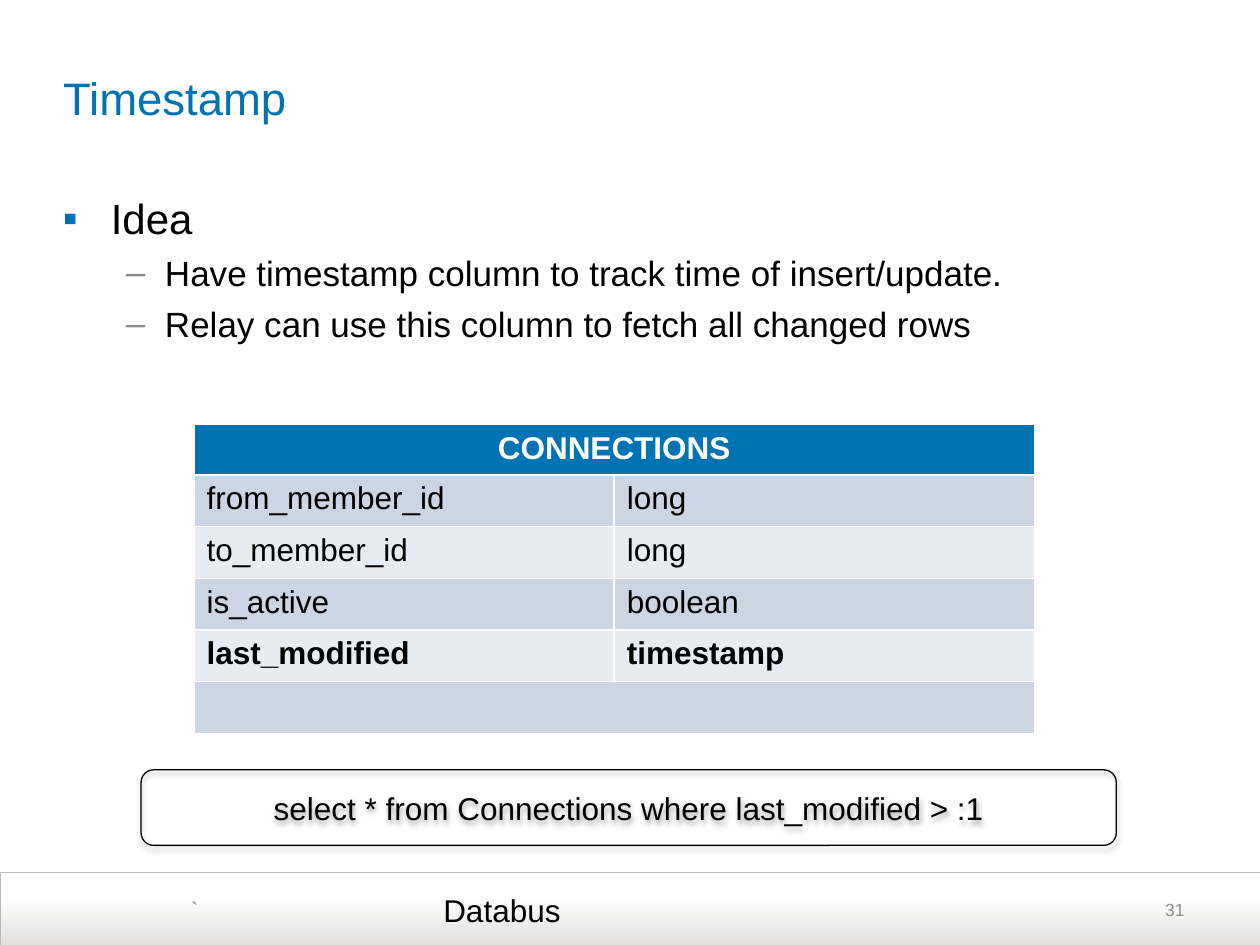
from lxml.etree import SubElement
from pptx import Presentation
from pptx.dml.color import RGBColor
from pptx.enum.shapes import MSO_SHAPE
from pptx.enum.text import MSO_ANCHOR, PP_ALIGN
from pptx.oxml.ns import qn
from pptx.util import Inches, Pt

BLUE = RGBColor(0x00, 0x73, 0xB2)
BLACK = RGBColor(0x00, 0x00, 0x00)
WHITE = RGBColor(0xFF, 0xFF, 0xFF)
BAND_DARK = RGBColor(0xCC, 0xD5, 0xE4)
BAND_LIGHT = RGBColor(0xE7, 0xEB, 0xF2)
GRAY = RGBColor(0x88, 0x89, 0x8B)
NUMBER_GRAY = RGBColor(0x8C, 0x8C, 0x8C)
FOOTER_GRAY = RGBColor(0xE1, 0xE0, 0xDF)
FOOTER_EDGE = RGBColor(0xB9, 0xB9, 0xB9)

IDEA = [
    (0, "Idea"),
    (1, "Have timestamp column to track time of insert/update."),
    (1, "Relay can use this column to fetch all changed rows"),
]
BULLET_LEVELS = [
    {"size": 24, "indent": 0.38, "hang": 0.38, "mark": "▪", "color": BLUE},
    {"size": 20, "indent": 0.81, "hang": 0.31, "mark": "–", "color": GRAY},
]
COLUMNS = [
    ("from_member_id", "long"),
    ("to_member_id", "long"),
    ("is_active", "boolean"),
    ("last_modified", "timestamp"),
]


def style(paragraph, size, color, bold=False, align=PP_ALIGN.LEFT):
    """Set the font and alignment of a paragraph."""
    paragraph.alignment = align
    font = paragraph.font
    font.name, font.size, font.bold = "Arial", Pt(size), bold
    font.color.rgb = color


def add_label(slide, box, text, size, color, align=PP_ALIGN.LEFT,
              anchor=MSO_ANCHOR.TOP, left_inset=0.1):
    """Add a one-line text box."""
    frame = slide.shapes.add_textbox(*map(Inches, box)).text_frame
    frame.word_wrap = True
    frame.vertical_anchor = anchor
    frame.margin_left = Inches(left_inset)
    frame.text = text
    style(frame.paragraphs[0], size, color, align=align)


def add_footer_band(slide):
    """Add the shaded band along the bottom of the slide."""
    band = slide.shapes.add_shape(
        MSO_SHAPE.ROUND_2_SAME_RECTANGLE,
        Inches(0), Inches(6.92), Inches(10), Inches(0.59))
    band.adjustments[0] = 0
    band.shadow.inherit = False
    band.fill.gradient()
    band.fill.gradient_angle = 90
    shades = [(0, FOOTER_GRAY), (0.68, WHITE)]
    for stop, (position, color) in zip(band.fill.gradient_stops, shades):
        stop.position = position
        stop.color.rgb = color
    band.line.color.rgb = FOOTER_EDGE
    band.line.width = Pt(0.25)


def set_title(slide, text):
    """Place and format the title placeholder."""
    title = slide.shapes.title
    title.left, title.top = Inches(0.5), Inches(0.22)
    title.width, title.height = Inches(9), Inches(1.1)
    frame = title.text_frame
    frame.margin_left = frame.margin_right = 0
    frame.vertical_anchor = MSO_ANCHOR.MIDDLE
    frame.text = text
    style(frame.paragraphs[0], 26, BLUE)


def add_bullet(paragraph, level):
    """Give a paragraph the hanging bullet of its level."""
    properties = paragraph._p.get_or_add_pPr()
    properties.set("marL", str(Inches(level["indent"])))
    properties.set("indent", str(-Inches(level["hang"])))
    color = SubElement(properties, qn("a:buClr"))
    SubElement(color, qn("a:srgbClr"), val=str(level["color"]))
    SubElement(properties, qn("a:buFont"), typeface="Arial")
    SubElement(properties, qn("a:buChar"), char=level["mark"])


def add_bullets(slide, items):
    """Add the bulleted body text."""
    body = slide.shapes.add_textbox(
        Inches(0.5), Inches(1.48), Inches(9), Inches(1.5))
    frame = body.text_frame
    frame.word_wrap = True
    frame.margin_left = 0
    for index, (depth, text) in enumerate(items):
        paragraph = frame.add_paragraph() if index else frame.paragraphs[0]
        level = BULLET_LEVELS[depth]
        paragraph.text = text
        paragraph.level = depth
        add_bullet(paragraph, level)
        paragraph.space_before = Pt(5 if index else 0)
        style(paragraph, level["size"], BLACK)


def fill_cell(cell, text, fill, color=BLACK, bold=False, align=PP_ALIGN.LEFT):
    """Write and colour one table cell."""
    cell.fill.solid()
    cell.fill.fore_color.rgb = fill
    cell.text = text
    style(cell.text_frame.paragraphs[0], 18, color, bold, align)


def add_schema_table(slide, name, columns):
    """Add the table that lists the columns of a database table."""
    last = len(columns) + 1
    table = slide.shapes.add_table(
        last + 1, 2, Inches(1.54), Inches(3.37),
        Inches(6.67), Inches(2.42)).table
    for row in table.rows:
        row.height = Inches(0.41)
    table.rows[0].height = Inches(0.37)
    for index in (0, last):
        table.cell(index, 0).merge(table.cell(index, 1))
    fill_cell(table.cell(0, 0), name, BLUE, WHITE, True, PP_ALIGN.CENTER)
    for index, texts in enumerate(columns, start=1):
        band = BAND_DARK if index % 2 else BAND_LIGHT
        for cell, text in zip(table.rows[index].cells, texts):
            fill_cell(cell, text, band, bold=index == len(columns))
    fill_cell(table.cell(last, 0), "", BAND_DARK)


def add_query(slide, query):
    """Add the outlined query box with its soft shadow."""
    box = slide.shapes.add_shape(
        MSO_SHAPE.ROUNDED_RECTANGLE,
        Inches(1.12), Inches(6.11), Inches(7.74), Inches(0.6))
    box.fill.background()
    box.line.color.rgb = BLACK
    box.line.width = Pt(0.75)
    box.shadow.inherit = False
    effects = box._element.spPr.find(qn("a:effectLst"))
    shadow = SubElement(
        effects, qn("a:outerShdw"), blurRad=str(Pt(3.1)),
        dist=str(Pt(1.8)), dir="5400000", rotWithShape="0")
    color = SubElement(shadow, qn("a:srgbClr"), val=str(BLACK))
    SubElement(color, qn("a:alpha"), val="35000")
    frame = box.text_frame
    frame.vertical_anchor = MSO_ANCHOR.MIDDLE
    frame.text = query
    style(frame.paragraphs[0], 18, BLACK, align=PP_ALIGN.CENTER)


def main():
    """Build the slide and save it."""
    deck = Presentation()
    deck.slide_width, deck.slide_height = Inches(10), Inches(7.5)
    slide = deck.slides.add_slide(deck.slide_layouts[5])
    add_footer_band(slide)
    add_label(slide, (1.52, 7.07, 3.1, 0.34), "`", 12, GRAY, left_inset=0)
    set_title(slide, "Timestamp")
    add_bullets(slide, IDEA)
    add_label(slide, (7.17, 7.02, 2.33, 0.4), "31", 10, NUMBER_GRAY,
              PP_ALIGN.RIGHT, MSO_ANCHOR.MIDDLE)
    add_schema_table(slide, "CONNECTIONS", COLUMNS)
    add_label(slide, (3.42, 7.02, 3.17, 0.4), "Databus", 18, BLACK)
    add_query(slide, "select * from Connections where last_modified > :1")
    deck.save("out.pptx")


if __name__ == "__main__":
    main()
